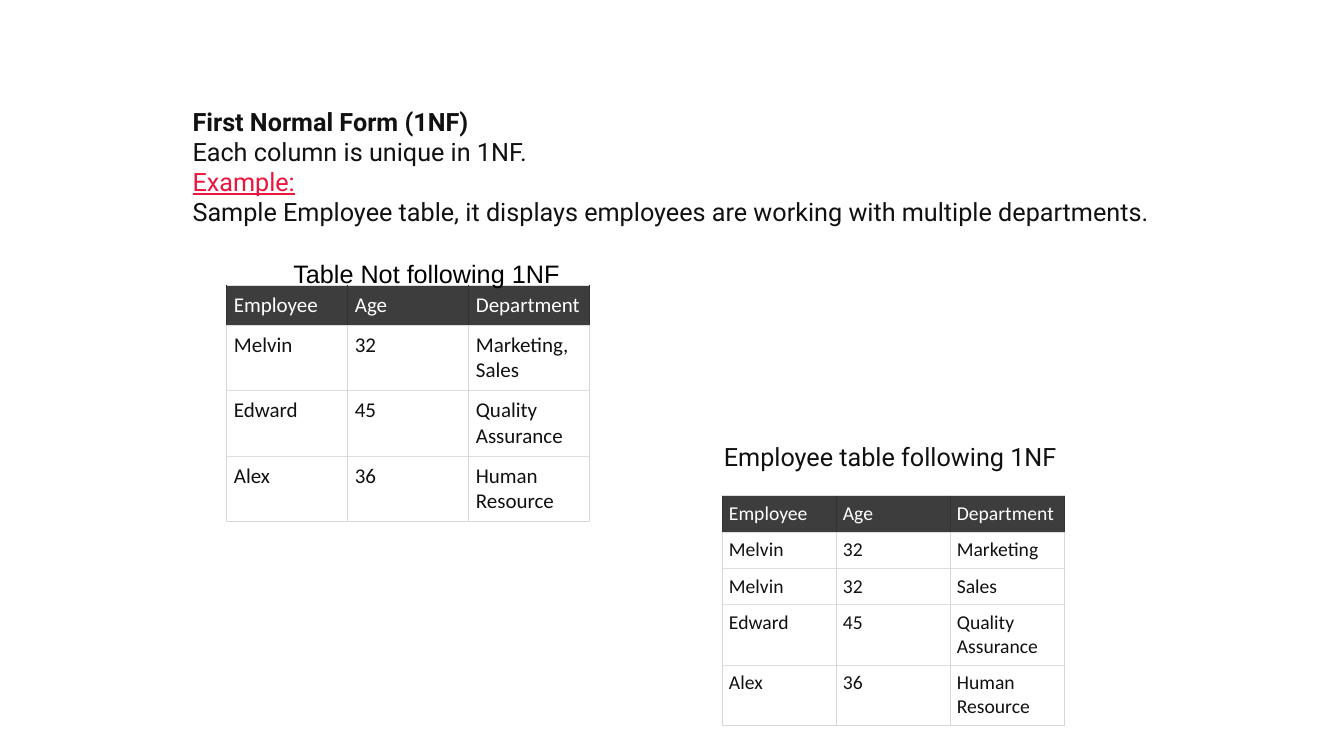
from dataclasses import dataclass

from lxml.etree import SubElement
from pptx import Presentation
from pptx.dml.color import RGBColor
from pptx.enum.text import MSO_ANCHOR, MSO_AUTO_SIZE, PP_ALIGN
from pptx.oxml.ns import qn
from pptx.util import Inches, Pt


@dataclass(frozen=True)
class Theme:
    ink: str = "111111"
    black: str = "000000"
    white: str = "FFFFFF"
    accent: str = "ED143D"
    header: str = "3D3D3D"
    header_side: str = "333333"
    side: str = "D6D6D6"
    rule: str = "DDDDDD"
    text_font: str = "Roboto"
    caption_font: str = "Arial"
    table_font: str = "Calibri"
    text_size: int = 18
    wide_table_size: int = 15
    tall_table_size: int = 14
    border: float = 0.75


THEME = Theme()
HEADINGS = ("Employee", "Age", "Department")
UNNORMALISED = [
    HEADINGS,
    ("Melvin", "32", "Marketing, Sales"),
    ("Edward", "45", "Quality Assurance"),
    ("Alex", "36", "Human Resource"),
]
NORMALISED = [
    HEADINGS,
    ("Melvin", "32", "Marketing"),
    ("Melvin", "32", "Sales"),
    ("Edward", "45", "Quality Assurance"),
    ("Alex", "36", "Human Resource"),
]


def write(paragraph, text, font=THEME.text_font, size=THEME.text_size,
          color=THEME.ink, bold=False, underline=False):
    """Put one formatted run in a paragraph."""
    paragraph.alignment = PP_ALIGN.LEFT
    paragraph.space_before = Pt(0)
    run = paragraph.add_run()
    run.text = text
    run.font.name = font
    run.font.size = Pt(size)
    run.font.color.rgb = RGBColor.from_string(color)
    run.font.bold = bold
    run.font.underline = underline


def place(shape, left, top, width, height):
    """Set a text shape's place and return its frame without insets."""
    shape.left, shape.top = Inches(left), Inches(top)
    shape.width, shape.height = Inches(width), Inches(height)
    frame = shape.text_frame
    frame.margin_left = frame.margin_right = 0
    frame.margin_top = frame.margin_bottom = 0
    frame.vertical_anchor = MSO_ANCHOR.TOP
    frame.auto_size = MSO_AUTO_SIZE.NONE
    frame.word_wrap = True
    return frame


def add_caption(slide, text, left, top, **text_format):
    box = slide.shapes.add_textbox(0, 0, 0, 0)
    write(place(box, left, top, 3.5, 0.3).paragraphs[0], text, **text_format)


def add_explanation(placeholder, lines):
    frame = place(placeholder, 1.91, 1.35, 9.75, 0.95)
    for index, (text, text_format) in enumerate(lines):
        paragraph = frame.paragraphs[0] if index == 0 else frame.add_paragraph()
        properties = paragraph._p.get_or_add_pPr()
        properties.set("marL", "0")
        properties.set("indent", "0")
        SubElement(properties, qn("a:buNone"))
        write(paragraph, text, **text_format)


def set_borders(cell, side, top, bottom):
    properties = cell._tc.get_or_add_tcPr()
    for edge, color in zip("LRTB", (side, side, top, bottom)):
        line = SubElement(properties, qn(f"a:ln{edge}"), w=str(Pt(THEME.border)))
        SubElement(SubElement(line, qn("a:solidFill")), qn("a:srgbClr"), val=color)


def add_employee_table(slide, records, left, top, column, heights, size, inset):
    table = slide.shapes.add_table(
        len(records), len(HEADINGS), Inches(left), Inches(top),
        Inches(column * len(HEADINGS)), Inches(sum(heights))).table
    for table_column in table.columns:
        table_column.width = Inches(column)
    for row, record in enumerate(records):
        table.rows[row].height = Inches(heights[row])
        is_header, is_last = row == 0, row == len(records) - 1
        for col, value in enumerate(record):
            cell = table.cell(row, col)
            cell.margin_left = cell.margin_right = Inches(inset)
            cell.margin_top = cell.margin_bottom = Inches(inset)
            # Borders come before the fill in the cell's XML
            set_borders(cell, THEME.header_side if is_header else THEME.side,
                        THEME.rule, THEME.side if is_last else THEME.rule)
            cell.fill.solid()
            cell.fill.fore_color.rgb = RGBColor.from_string(
                THEME.header if is_header else THEME.white)
            write(cell.text_frame.paragraphs[0], value, font=THEME.table_font,
                  size=size, color=THEME.white if is_header else THEME.ink)


def main():
    deck = Presentation()
    deck.slide_width, deck.slide_height = Inches(13.33), Inches(7.5)
    slide = deck.slides.add_slide(deck.slide_layouts[1])

    # Heading and explanation
    heading = place(slide.shapes.title, 1.91, 1.05, 9.75, 0.3)
    write(heading.paragraphs[0], "First Normal Form (1NF)", bold=True)
    add_explanation(slide.placeholders[1], [
        ("Each column is unique in 1NF.", {}),
        ("Example:", {"color": THEME.accent, "underline": True}),
        ("Sample Employee table, it displays employees are working with "
         "multiple departments.", {}),
    ])

    # Table before normalisation
    add_employee_table(slide, UNNORMALISED, 2.25, 2.83, 1.2,
                       [0.38] + [0.64] * 3, THEME.wide_table_size, 0.07)
    add_caption(slide, "Table Not following 1NF", 2.91, 2.56,
                font=THEME.caption_font, color=THEME.black)

    # Table after normalisation
    add_employee_table(slide, NORMALISED, 7.17, 4.92, 1.13,
                       [0.36] * 3 + [0.6] * 2, THEME.tall_table_size, 0.06)
    add_caption(slide, "Employee table following 1NF", 7.18, 4.38)

    deck.save("out.pptx")


if __name__ == "__main__":
    main()
